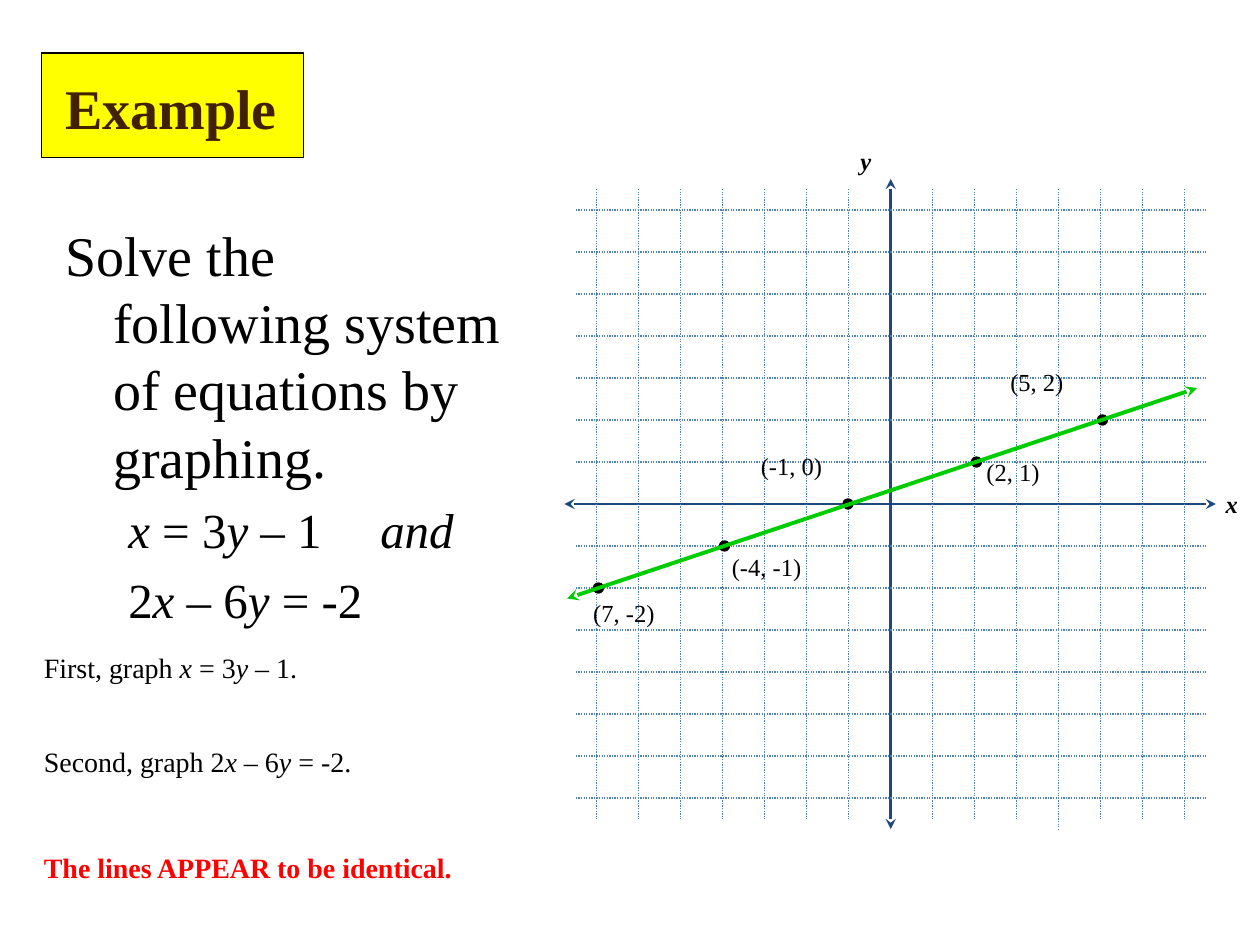
from dataclasses import dataclass

from lxml import etree
from pptx import Presentation, util as u
from pptx.dml.color import RGBColor
from pptx.enum import dml, shapes, text
from pptx.oxml import ns

Inches, Pt = u.Inches, u.Pt


@dataclass(frozen=True)
class Theme:
    font: str = "Times New Roman"
    title: int = 32
    equation: int = 28
    step: int = 16
    label: int = 14
    black: str = "000000"
    brown: str = "422100"
    yellow: str = "FFFF00"
    red: str = "FF0000"
    axis: str = "1F497D"
    grid: str = "4F81BD"
    graph: str = "00CC00"


theme = Theme()
presentation = Presentation()
presentation.slide_width, presentation.slide_height = Inches(10), Inches(7.5)
slide = presentation.slides.add_slide(presentation.slide_layouts[6])


def add_text(frame, content, size=theme.label, color=theme.black, bold=False,
             italic=False, margin=0, indent=0, before=0, tab=None, wrap=True):
    """Append a paragraph; parts between asterisks are italic."""
    paragraph = frame.paragraphs[0]
    if paragraph.runs:
        paragraph = frame.add_paragraph()
    frame.word_wrap = wrap
    frame.margin_top = Inches(0.08)
    frame.vertical_anchor = text.MSO_ANCHOR.TOP
    paragraph.alignment = text.PP_ALIGN.LEFT
    paragraph.line_spacing = Pt(1.2 * size)
    paragraph.space_before = Pt(before)
    properties = paragraph._p.get_or_add_pPr()
    properties.set("marL", str(Inches(margin)))
    properties.set("indent", str(Inches(indent)))
    if tab:
        tabs = etree.SubElement(properties, ns.qn("a:tabLst"))
        etree.SubElement(tabs, ns.qn("a:tab"), pos=str(Inches(tab)), algn="l")
    for index, part in enumerate(content.split("*")):
        if part:
            run = paragraph.add_run()
            run.text = part
            run.font.name, run.font.size = theme.font, Pt(size)
            run.font.bold, run.font.italic = bold, italic or index % 2 == 1
            run.font.color.rgb = RGBColor.from_string(color)


def add_line(x1, y1, x2, y2, color, width, arrows=True):
    """Draw a line with two arrowheads, or a dotted one without them."""
    line = slide.shapes.add_connector(
        shapes.MSO_CONNECTOR.STRAIGHT, Inches(x1), Inches(y1), Inches(x2), Inches(y2))
    line.line.color.rgb = RGBColor.from_string(color)
    line.line.width = Pt(width)
    if arrows:
        outline = line.line._get_or_add_ln()
        for end in ("a:headEnd", "a:tailEnd"):
            etree.SubElement(outline, ns.qn(end), type="stealth")
    else:
        line.line.dash_style = dml.MSO_LINE.ROUND_DOT
    etree.SubElement(line._element.spPr, ns.qn("a:effectLst"))


# Problem statement
problem = slide.shapes.add_textbox(
    Inches(0.42), Inches(1.67), Inches(3.67), Inches(3.42)).text_frame
add_text(problem, "Solve the following system of equations by graphing.",
         size=theme.title, margin=0.38, indent=-0.38)
for equation, tab in (("*x* = 3*y* – 1\t*and*", 2.42), ("2*x* – 6*y* = -2", None)):
    add_text(problem, equation, size=theme.equation, indent=0.5, before=6, tab=tab)

# Heading: framed box with its text panel
for left, top, width, height, heading in (
        (0.33, 0.42, 2.08, 0.83, ""), (0.42, 0.5, 1.91, 0.63, "Example")):
    panel = slide.shapes.add_shape(
        shapes.MSO_SHAPE.RECTANGLE, Inches(left), Inches(top), Inches(width), Inches(height))
    panel.shadow.inherit = False
    panel.fill.solid()
    panel.fill.fore_color.rgb = RGBColor.from_string(theme.yellow)
    if heading:
        panel.line.fill.background()
        add_text(panel.text_frame, heading, size=theme.title, color=theme.brown, bold=True)
    else:
        panel.line.color.rgb = RGBColor.from_string(theme.black)
        panel.line.width = Pt(0.75)

# Axes and grid, three units to the inch
origin_x, origin_y = 7.07, 4
add_line(origin_x, 1.42, origin_x, 6.58, theme.axis, 1.5)
add_line(4.48, origin_y, 9.65, origin_y, theme.axis, 1.5)
for step in range(-7, 8):
    if step:
        x, y = origin_x + step / 3, origin_y + step / 3
        bottom = 6.58 if step == 4 else 6.5
        add_line(4.57, y, 9.57, y, theme.grid, 0.75, arrows=False)
        add_line(x, 1.5, x, bottom, theme.grid, 0.75, arrows=False)

# Axis names
for name, left, top, width in (("x", 9.63, 3.8, 0.37), ("y", 6.73, 1.08, 0.35)):
    box = slide.shapes.add_textbox(Inches(left), Inches(top), Inches(width), Inches(0.5))
    add_text(box.text_frame, name, bold=True, italic=True, wrap=False)

# Points: centre x, height in units, then label and its place
diameter = 0.08
for x, units, label, left, top, width in (
        (6.73, 0, "(-1, 0)", 5.94, 3.5, 1.12),
        (8.75, 2, "(5, 2)", 7.92, 2.83, 1.12),
        (4.75, -2, "(7, -2)", 4.61, 4.67, 1.12),
        (5.75, -1, "(-4, -1)", 5.71, 4.3, 1.25),
        (7.75, 1, "(2, 1)", 7.73, 3.55, 1.12)):
    point = slide.shapes.add_shape(
        shapes.MSO_SHAPE.OVAL, Inches(x - diameter / 2),
        Inches(origin_y - units / 3 - diameter / 2), Inches(diameter), Inches(diameter))
    point.shadow.inherit = False
    point.fill.solid()
    point.fill.fore_color.rgb = RGBColor.from_string(theme.black)
    point.line.color.rgb = RGBColor.from_string(theme.black)
    point.line.width = Pt(0.75)
    box = slide.shapes.add_textbox(Inches(left), Inches(top), Inches(width), Inches(0.5))
    add_text(box.text_frame, label)

# Solution steps
for content, top, width, color, bold in (
        ("First, graph *x* = 3*y* – 1.", 5.08, 4.08, theme.black, False),
        ("Second, graph 2*x* – 6*y* = -2.", 5.83, 4.58, theme.black, False),
        ("The lines APPEAR to be identical.", 6.67, 6.75, theme.red, True)):
    box = slide.shapes.add_textbox(Inches(0.25), Inches(top), Inches(width), Inches(0.57))
    add_text(box.text_frame, content, size=theme.step, color=color, bold=bold)

# Graph of both equations
add_line(4.5, 4.75, 9.5, 3.08, theme.graph, 2.25)

presentation.save("out.pptx")
